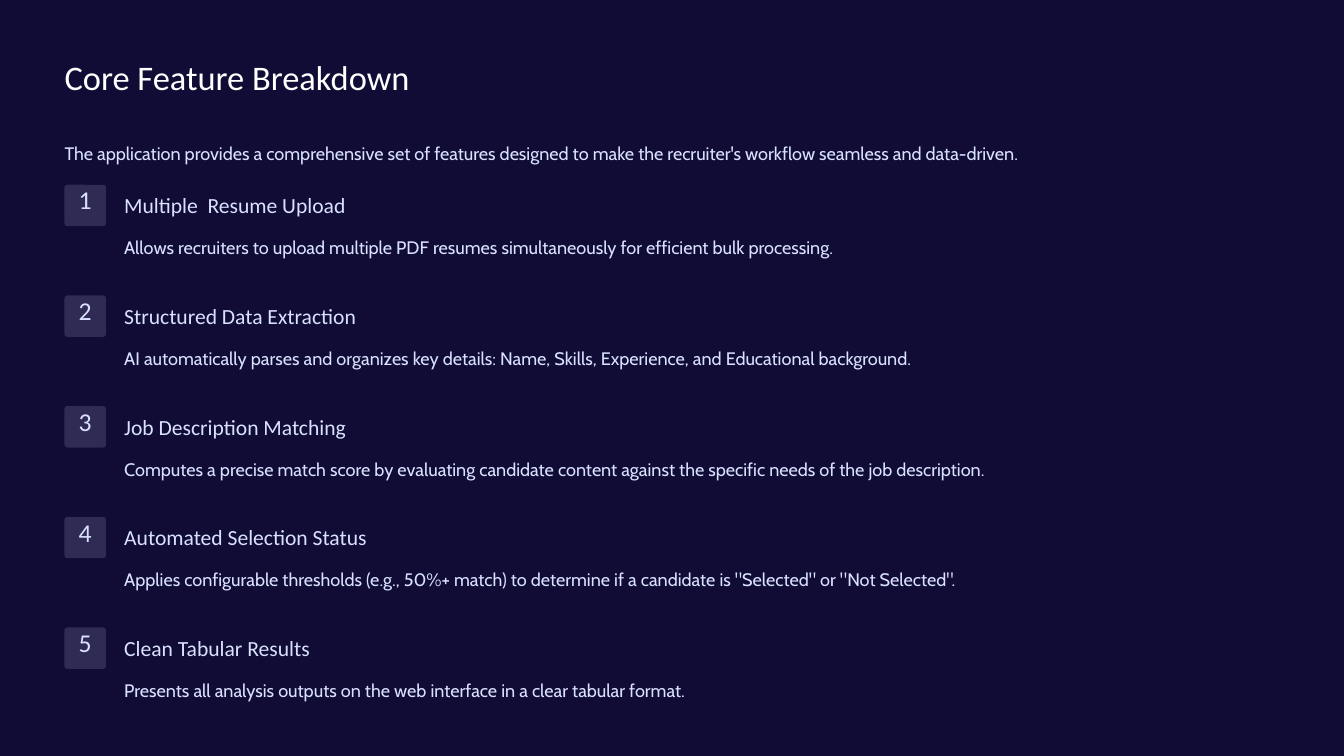
from pptx import Presentation
from pptx import util as u
from pptx.dml import color
from pptx.enum import shapes, text

Pt = u.Pt
NAVY, PLUM, PALE, WHITE = "100C35", "2F2B54", "D9E1FF", "FFFFFF"
LEFT, INDENT = 55.3, 106.5
TOP, STEP = 158.4, 94.87
WIDE = 990

# Title, title width, description
ITEMS = [
    ("Multiple  Resume Upload", 200,
     "Allows recruiters to upload multiple PDF resumes simultaneously "
     "for efficient bulk processing."),
    ("Structured Data Extraction", 219,
     "AI automatically parses and organizes key details: Name, Skills, "
     "Experience, and Educational background."),
    ("Job Description Matching", 210,
     "Computes a precise match score by evaluating candidate content "
     "against the specific needs of the job description."),
    ("Automated Selection Status", 232.5,
     "Applies configurable thresholds (e.g., 50%+ match) to determine "
     "if a candidate is \"Selected\" or \"Not Selected\"."),
    ("Clean Tabular Results", 186,
     "Presents all analysis outputs on the web interface in a clear "
     "tabular format."),
]


def paint(fill, shade):
    fill.solid()
    fill.fore_color.rgb = color.RGBColor.from_string(shade)


def write(slide, words, x, y, w, h, size=15.5, lead=25, font="Cabin",
          shade=PALE, align=text.PP_ALIGN.LEFT):
    box = slide.shapes.add_textbox(Pt(x), Pt(y), Pt(w), Pt(h))
    frame = box.text_frame
    frame.word_wrap = False
    frame.margin_left = frame.margin_right = 0
    frame.margin_top = frame.margin_bottom = 0
    para = frame.paragraphs[0]
    para.alignment = align
    para.line_spacing = Pt(lead)
    run = para.add_run()
    run.text = words
    run.font.size = Pt(size)
    run.font.name = font
    paint(run.font.fill, shade)


def badge(slide, num, x, y):
    side = 35.5
    tile = slide.shapes.add_shape(shapes.MSO_SHAPE.ROUNDED_RECTANGLE,
                                  Pt(x), Pt(y), Pt(side), Pt(side))
    tile.adjustments[0] = 0.07
    tile.shadow.inherit = False
    paint(tile.fill, PLUM)
    tile.line.fill.background()
    write(slide, str(num), x + 6.6, y + 4, 22.3, 28, size=22, lead=22,
          font="Calibri", align=text.PP_ALIGN.CENTER)


def feature(slide, num, title, width, detail):
    y = TOP + (num - 1) * STEP
    badge(slide, num, LEFT, y)
    write(slide, title, INDENT, y + 5.6, width, 23, size=18.5, lead=23,
          font="Calibri")
    write(slide, detail, INDENT, y + 38, WIDE, 25)


def main():
    deck = Presentation()
    deck.slide_width, deck.slide_height = Pt(1152), Pt(648)
    slide = deck.slides.add_slide(deck.slide_layouts[6])
    paint(slide.background.fill, NAVY)

    # Heading and introduction
    write(slide, "Core Feature Breakdown", LEFT, 46.8, 322, 37.4,
          size=29.5, lead=37, font="Calibri", shade=WHITE)
    write(slide, "The application provides a comprehensive set of features "
          "designed to make the recruiter's workflow seamless and "
          "data-driven.", LEFT, 115.6, 1042, 25)

    # Numbered features
    for num, item in enumerate(ITEMS, 1):
        feature(slide, num, *item)

    deck.save("out.pptx")


if __name__ == "__main__":
    main()
